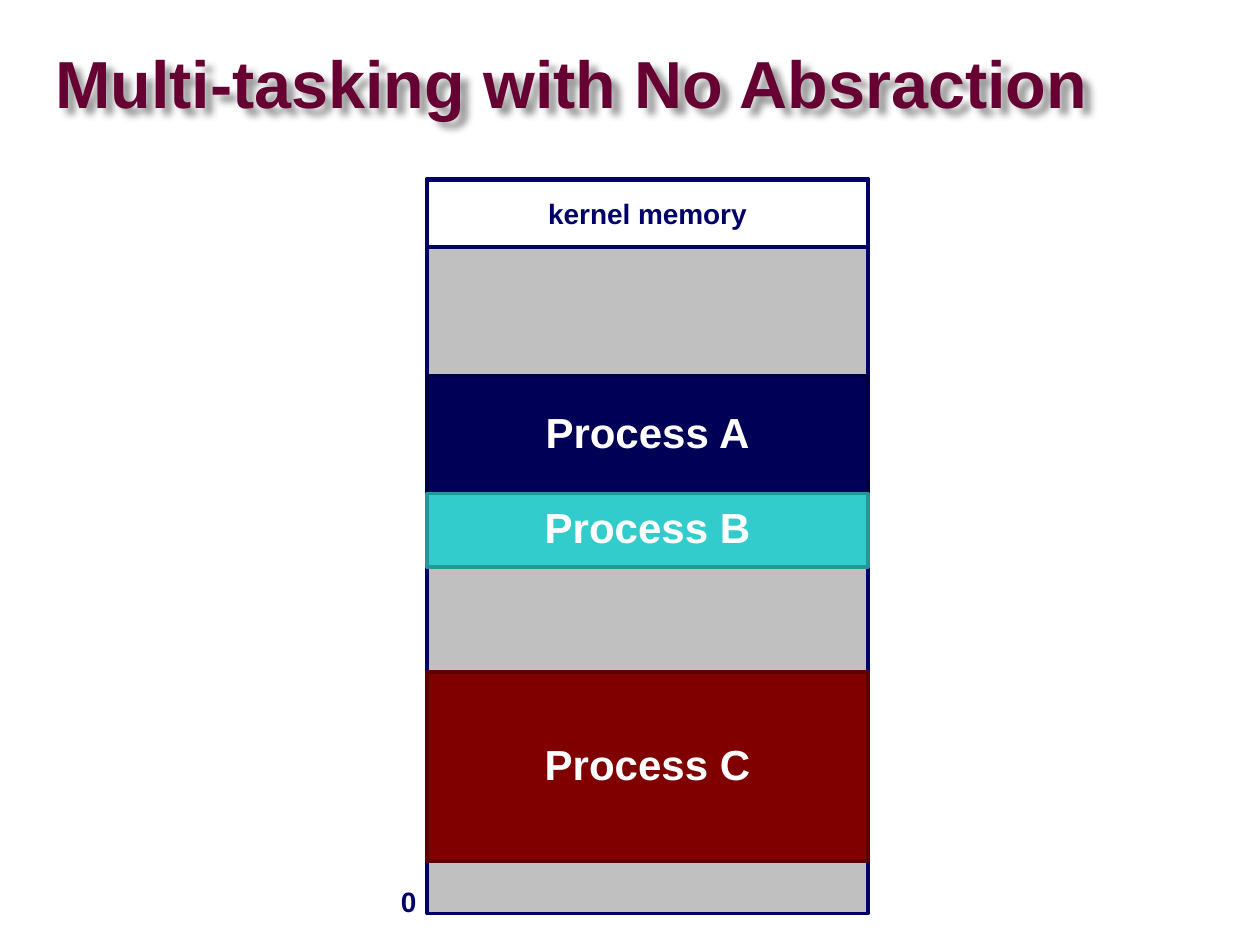
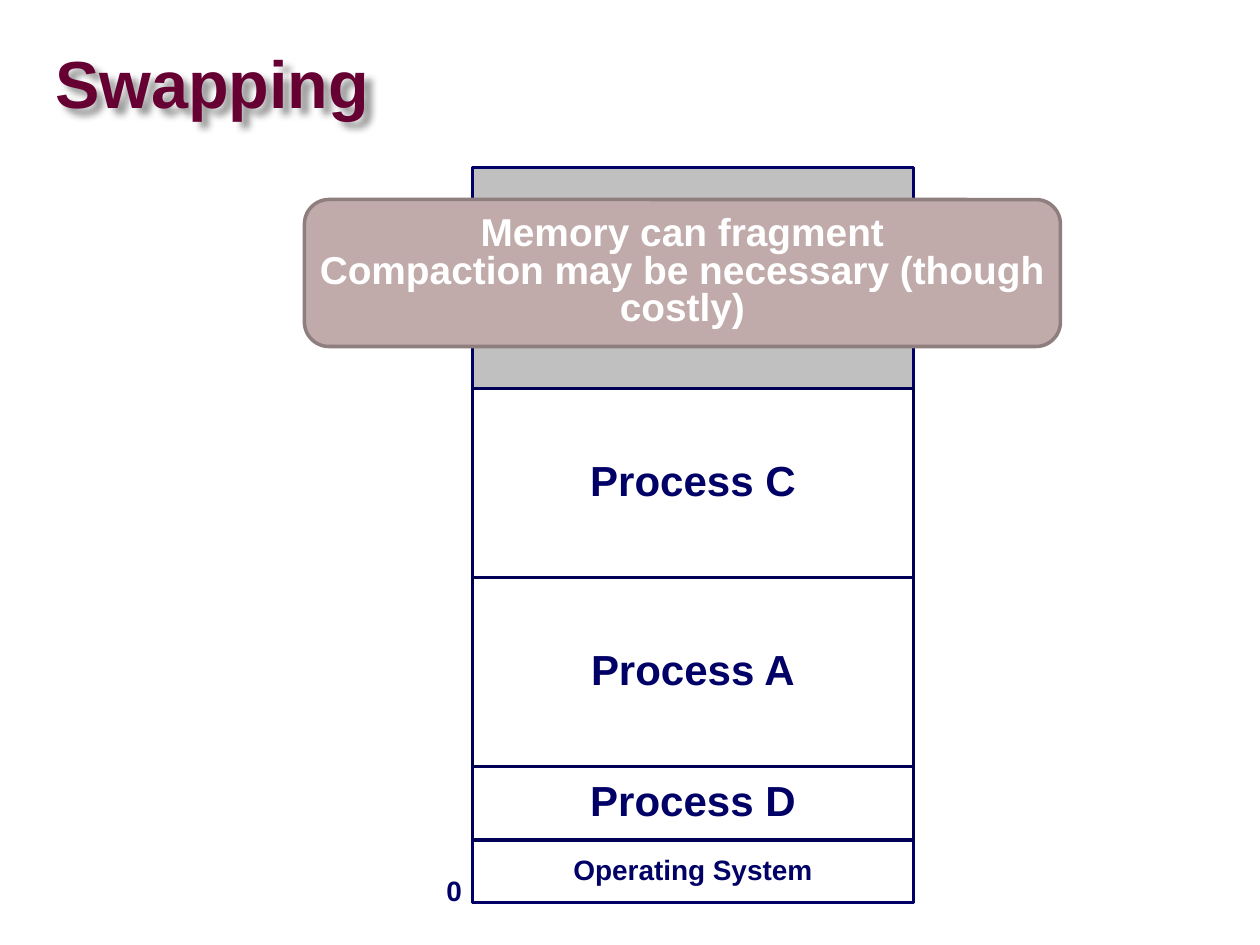
from lxml.etree import SubElement
from pptx import Presentation
from pptx.dml.color import RGBColor
from pptx.enum.shapes import MSO_SHAPE
from pptx.enum.text import MSO_ANCHOR, PP_ALIGN
from pptx.oxml.ns import qn
from pptx.util import Pt

COLORS = {
    "title": "660033", "navy": "000066", "ink": "000056", "deep": "000040",
    "free": "C0C0C0", "white": "FFFFFF", "teal": "33CCCC", "teal_edge": "269797",
    "red": "800000", "red_edge": "5F0000", "note": "C0AAAA", "note_edge": "8E7E7E",
}
COLUMN_WIDTH, COLUMN_HEIGHT = 252, 420


class MemoryDeck:
    """Holds the shared style and the slide being filled."""

    def __init__(self):
        self.deck = Presentation()
        self.deck.slide_width, self.deck.slide_height = Pt(720), Pt(540)
        self.page = None
        self.column_left = self.column_top = 0

    def color(self, name):
        return RGBColor.from_string(COLORS[name])

    def set_text(self, shape, lines, size, color, spacing=1.0, align=PP_ALIGN.CENTER,
                 inset=3.6, wrap=False):
        frame = shape.text_frame
        frame.text = "\n".join(lines)
        frame_format = {"word_wrap": wrap, "vertical_anchor": MSO_ANCHOR.MIDDLE}
        for side in ("left", "top", "right", "bottom"):
            frame_format["margin_" + side] = Pt(inset)
        for name, value in frame_format.items():
            setattr(frame, name, value)
        font_format = {"name": "Arial", "size": Pt(size), "bold": True}
        for para in frame.paragraphs:
            para.alignment, para.line_spacing = align, spacing
            for span in para.runs:
                for name, value in font_format.items():
                    setattr(span.font, name, value)
                span.font.color.rgb = self.color(color)

    def add_page(self, title):
        self.page = self.deck.slides.add_slide(self.deck.slide_layouts[5])
        box = self.page.shapes.title
        place = {"left": 31.5, "top": 19.5, "width": 686, "height": 61}
        for name, value in place.items():
            setattr(box, name, Pt(value))
        self.set_text(box, [title], 38, "title", 0.87, PP_ALIGN.LEFT, 0, True)
        # Soft shadow behind the title letters
        effects = SubElement(box.element.spPr, qn("a:effectLst"))
        shadow = SubElement(effects, qn("a:outerShdw"), blurRad=str(Pt(4)),
                            dist=str(Pt(5)), dir="2700000", algn="tl", rotWithShape="0")
        black = SubElement(shadow, qn("a:srgbClr"), val="000000")
        SubElement(black, qn("a:alpha"), val="40000")

    def add_box(self, left, top, width, height, fill, edge, kind=MSO_SHAPE.RECTANGLE):
        box = self.page.shapes.add_shape(kind, Pt(left), Pt(top), Pt(width), Pt(height))
        box.shadow.inherit = False
        box.fill.solid()
        box.fill.fore_color.rgb = self.color(fill)
        box.line.color.rgb = self.color(edge)
        box.line.width = Pt(2)
        return box

    def add_column(self, left, top):
        """Free memory, with address 0 marked at its foot."""
        self.column_left, self.column_top = left, top
        self.add_box(left, top, COLUMN_WIDTH, COLUMN_HEIGHT, "free", "navy")
        label = self.page.shapes.add_textbox(
            Pt(left - 22), Pt(top + COLUMN_HEIGHT - 20), Pt(23), Pt(26.5))
        self.set_text(label, ["0"], 16, "navy", align=PP_ALIGN.LEFT, inset=7.2)
        label.text_frame.margin_top = label.text_frame.margin_bottom = Pt(3.6)

    def add_block(self, text, offset, height, fill="white", edge="ink",
                  color="navy", size=24, spacing=0.9):
        box = self.add_box(self.column_left, self.column_top + offset,
                           COLUMN_WIDTH, height, fill, edge)
        self.set_text(box, [text], size, color, spacing)

    def add_system_block(self, text, offset):
        self.add_block(text, offset, 38, edge="navy", size=16, spacing=1.0)

    def add_note(self, lines, left, top, width, height):
        box = self.add_box(left, top, width, height, "note", "note_edge",
                           MSO_SHAPE.ROUNDED_RECTANGLE)
        self.set_text(box, lines, 22.2, "white", 0.8, wrap=True)


def main():
    memory = MemoryDeck()

    # Processes placed straight into physical memory
    memory.add_page("Multi-tasking with No Absraction")
    memory.add_column(244, 102)
    memory.add_system_block("kernel memory", 1)
    for text, offset, height, fill, edge in (
            ("Process A", 112.5, 67.5, "ink", "deep"),
            ("Process B", 180, 42, "teal", "teal_edge"),
            ("Process C", 282, 108, "red", "red_edge")):
        memory.add_block(text, offset, height, fill, edge, "white")

    # Processes swapped in, stacked from the top down
    memory.add_page("Swapping")
    memory.add_column(270, 95.75)
    memory.add_system_block("Operating System", COLUMN_HEIGHT - 38)
    offset = 126.25
    for text, height in (("Process C", 108), ("Process A", 108), ("Process D", 42)):
        memory.add_block(text, offset, height)
        offset += height
    memory.add_note(["Memory can fragment",
                     "Compaction may be necessary (though costly)"], 174, 114, 432, 84)

    memory.deck.save("out.pptx")


if __name__ == "__main__":
    main()
